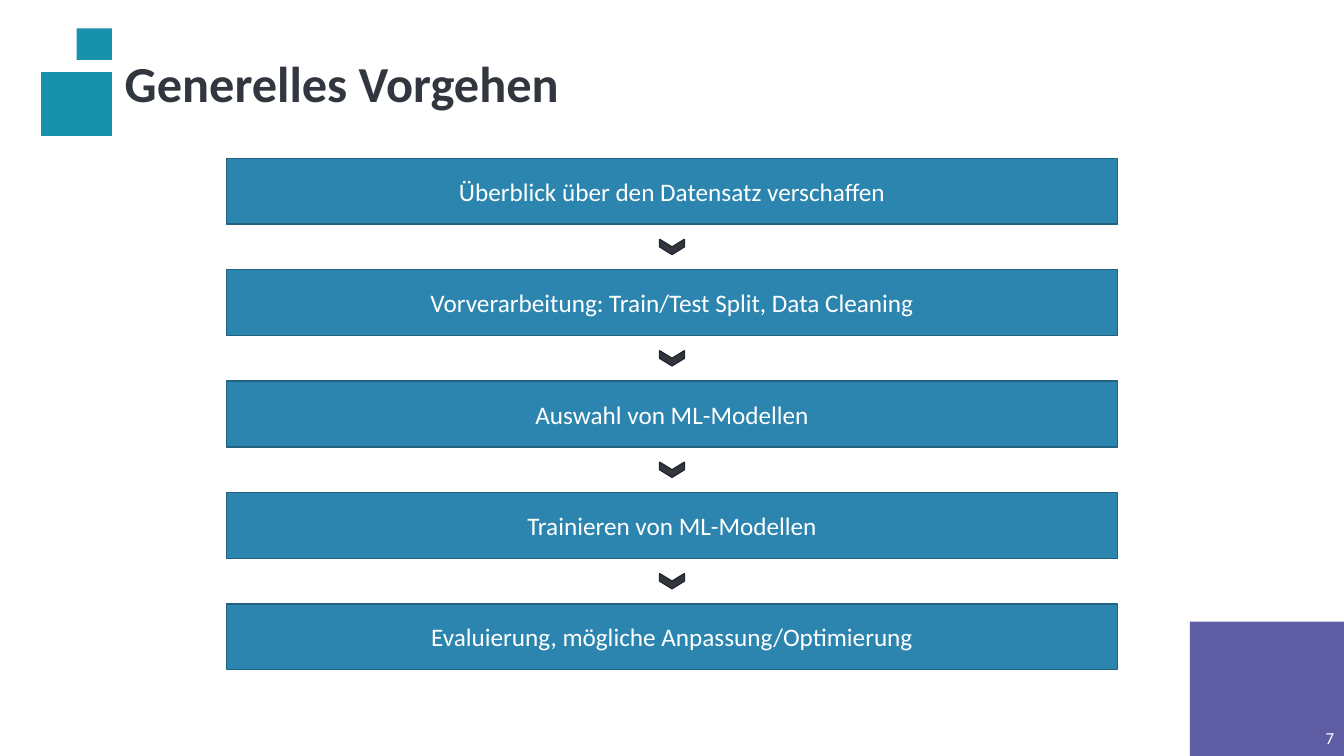
"""Builds a slide that shows a five-step workflow."""
from pptx import Presentation
from pptx.dml.color import RGBColor
from pptx.enum.shapes import MSO_SHAPE
from pptx.enum.text import MSO_ANCHOR, PP_ALIGN
from pptx.util import Pt

RECT, CHEVRON = MSO_SHAPE.RECTANGLE, MSO_SHAPE.CHEVRON
MIDDLE = MSO_ANCHOR.MIDDLE
LEFT, CENTER, RIGHT = PP_ALIGN.LEFT, PP_ALIGN.CENTER, PP_ALIGN.RIGHT

WHITE = RGBColor(0xFF, 0xFF, 0xFF)
TEAL = RGBColor(0x18, 0x91, 0xAB)
BLUE = RGBColor(0x2C, 0x85, 0xAE)
NAVY = RGBColor(0x21, 0x62, 0x81)
PURPLE = RGBColor(0x5E, 0x5C, 0xA2)
DARK = RGBColor(0x32, 0x36, 0x3F)
BLACK = RGBColor(0x25, 0x28, 0x2F)

WIDTH, HEIGHT = 960, 540
STEPS = [
    "Überblick über den Datensatz verschaffen",
    "Vorverarbeitung: Train/Test Split, Data Cleaning",
    "Auswahl von ML-Modellen",
    "Trainieren von ML-Modellen",
    "Evaluierung, mögliche Anpassung/Optimierung",
]


def add_block(slide, kind, box, fill, line=None):
    """Add a flat shape, outlined if a line colour is given."""
    shape = slide.shapes.add_shape(kind, *map(Pt, box))
    shape.shadow.inherit = False
    shape.fill.solid()
    shape.fill.fore_color.rgb = fill
    if line is None:
        shape.line.fill.background()
    else:
        shape.line.color.rgb = line
        shape.line.width = Pt(1)
    return shape


def set_text(shape, text, size, color, align, bold=False):
    """Write one vertically centred paragraph into a shape."""
    frame = shape.text_frame
    frame.word_wrap = True
    frame.vertical_anchor = MIDDLE
    para = frame.paragraphs[0]
    para.text = text
    para.alignment = align
    para.font.name = "Calibri"
    para.font.size = Pt(size)
    para.font.color.rgb = color
    para.font.bold = bold
    return para


def add_header(slide, box, title):
    """Draw the two teal squares and the title beside them."""
    left, top, width, height = box
    small, large, mark = 25.2, 50.6, 22.5
    add_block(slide, RECT, (left, top + height - 45.5, large, 45.5), TEAL)
    add_block(slide, RECT, (left + large - small, top, small, mark), TEAL)
    area = (left + 52.6, top + 11.5, width - 52.6, 60)
    label = slide.shapes.add_textbox(*map(Pt, area))
    set_text(label, title, 36, DARK, LEFT, True).line_spacing = 0.9


def add_corner(slide, box, number):
    """Draw the purple corner with the page number at its lower right."""
    left, top, width, height = box
    add_block(slide, RECT, box, PURPLE)
    area = (left + width - 40, top + height - 21.6, 40, 16.6)
    label = slide.shapes.add_textbox(*map(Pt, area))
    set_text(label, number, 12, WHITE, RIGHT)


def add_flow(slide, box, steps):
    """Stack the steps evenly with a downward chevron in each gap."""
    left, top, width, height = box
    tall, long, wide = 47, 10.8, 17.6
    pitch = (height - tall) / (len(steps) - 1)
    for index, step in enumerate(steps):
        y = top + index * pitch
        bar = add_block(slide, RECT, (left, y, width, tall), BLUE, NAVY)
        set_text(bar, step, 18, WHITE, CENTER)
        if index:
            mid = y - (pitch - tall) / 2
            area = (left + (width - long) / 2, mid - wide / 2, long, wide)
            add_block(slide, CHEVRON, area, DARK, BLACK).rotation = 90


def main():
    """Build the slide and save it."""
    deck = Presentation()
    deck.slide_width, deck.slide_height = Pt(WIDTH), Pt(HEIGHT)
    slide = deck.slides.add_slide(deck.slide_layouts[6])
    add_header(slide, (29.4, 20.3, WIDTH - 29.4, 76.7), "Generelles Vorgehen")
    add_corner(slide, (850, 444, WIDTH - 850, HEIGHT - 444), "7")
    add_flow(slide, (161.8, 113.1, 636.4, 365.3), STEPS)
    deck.save("out.pptx")


if __name__ == "__main__":
    main()
